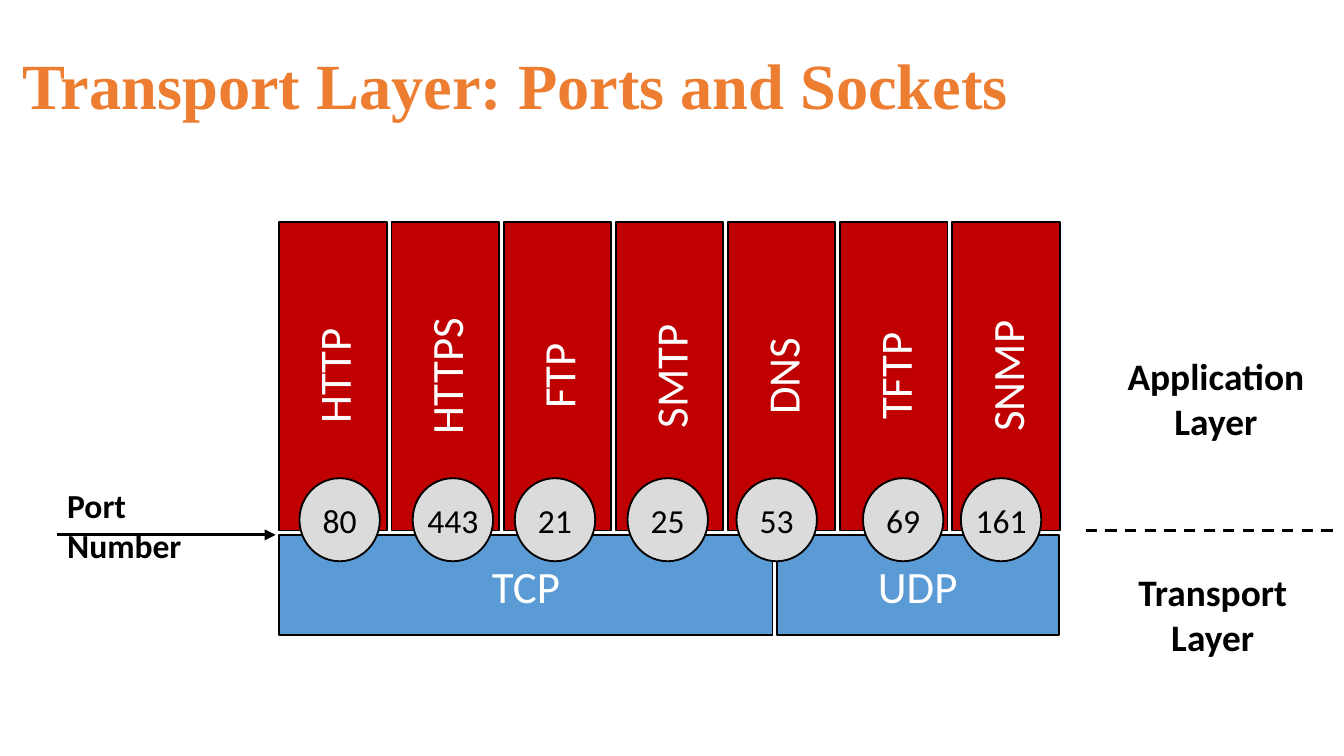
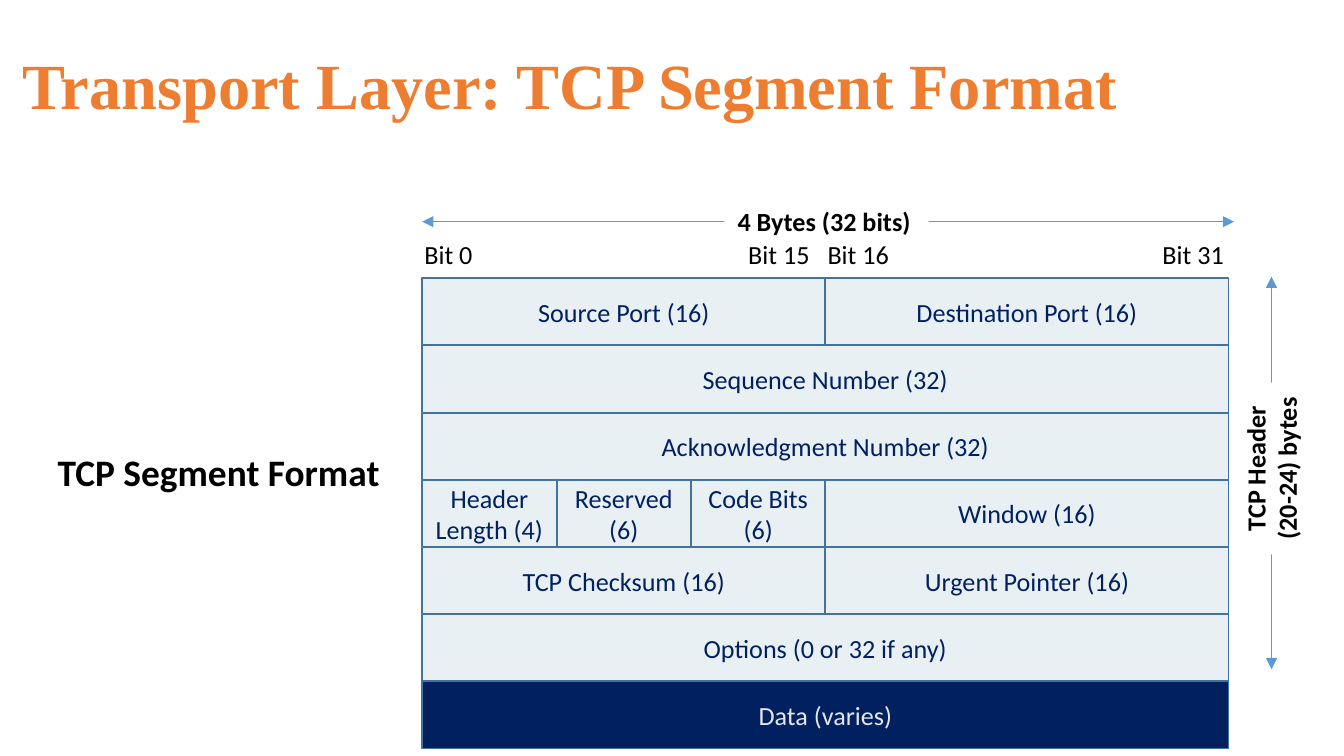
from lxml import etree
from pptx import Presentation
from pptx import util as u
from pptx.dml.color import RGBColor
from pptx.enum import dml, shapes, text
from pptx.oxml.ns import qn

# Shared colours and fonts
ORANGE = RGBColor(0xED, 0x7D, 0x31)
RED = RGBColor(0xC0, 0x00, 0x00)
BLUE = RGBColor(0x5B, 0x9B, 0xD5)
STEEL = RGBColor(0x43, 0x73, 0x9E)
NAVY = RGBColor(0x00, 0x20, 0x60)
PALE = RGBColor(0xE8, 0xF0, 0xF4)
SILVER = RGBColor(0xDB, 0xDB, 0xDB)
MIST = RGBColor(0xE7, 0xE6, 0xE6)
BLACK = RGBColor(0x00, 0x00, 0x00)
WHITE = RGBColor(0xFF, 0xFF, 0xFF)
BODY = "Calibri"
HEAD = "Times New Roman"

RECT = shapes.MSO_SHAPE.RECTANGLE
OVAL = shapes.MSO_SHAPE.OVAL
LEFT = text.PP_ALIGN.LEFT
MID = text.PP_ALIGN.CENTER

# Protocol, port number, left edge of the port circle (cm)
PORTS = [
    ("HTTP", "80", 5.66),
    ("HTTPS", "443", 7.8),
    ("FTP", "21", 9.73),
    ("SMTP", "25", 11.86),
    ("DNS", "53", 13.92),
    ("TFTP", "69", 16.31),
    ("SNMP", "161", 18.16),
]

# Segment rows: each field with its width in sixths of a row
ROWS = [
    [("Source Port (16)", 3), ("Destination Port (16)", 3)],
    [("Sequence Number (32)", 6)],
    [("Acknowledgment Number (32)", 6)],
    [("Header Length (4)", 1), ("Reserved (6)", 1), ("Code Bits (6)", 1),
     ("Window (16)", 3)],
    [("TCP Checksum (16)", 3), ("Urgent Pointer (16)", 3)],
    [("Options (0 or 32 if any)", 6)],
    [("Data (varies)", 6)],
]


def cm(*nums):
    return [u.Cm(n) for n in nums]


def write(frame, words, size, color, bold=False, align=LEFT, font=BODY):
    frame.text = words
    for para in frame.paragraphs:
        para.alignment = align
        para.font.name = font
        para.font.size = u.Pt(size)
        para.font.bold = bold
        para.font.color.rgb = color


def trim(frame):
    frame.margin_left = frame.margin_right = 0
    frame.margin_top = frame.margin_bottom = 0


def add_page(deck, title):
    page = deck.slides.add_slide(deck.slide_layouts[5])
    head = page.shapes.title
    head.left, head.top, head.width, head.height = cm(0.43, 0.79, 22.02, 1.57)
    frame = head.text_frame
    frame.auto_size = text.MSO_AUTO_SIZE.NONE
    frame.vertical_anchor = text.MSO_ANCHOR.MIDDLE
    trim(frame)
    write(frame, title, 34.5, ORANGE, True, font=HEAD)
    return page


def add_box(page, at, words, fill, edge, color, size, kind=RECT):
    box = page.shapes.add_shape(kind, *cm(*at))
    box.shadow.inherit = False
    box.fill.solid()
    box.fill.fore_color.rgb = fill
    box.line.color.rgb = edge
    box.line.width = u.Pt(1)
    frame = box.text_frame
    frame.word_wrap = True
    frame.vertical_anchor = text.MSO_ANCHOR.MIDDLE
    write(frame, words, size, color, align=MID)
    return box


def add_label(page, at, words, size, bold=True, align=LEFT, wrap=False,
              fill=WHITE):
    if fill is None:
        label = page.shapes.add_textbox(*cm(*at))
    else:
        label = page.shapes.add_shape(RECT, *cm(*at))
        label.shadow.inherit = False
        label.fill.solid()
        label.fill.fore_color.rgb = fill
        label.line.fill.background()
    frame = label.text_frame
    frame.word_wrap = wrap
    frame.auto_size = text.MSO_AUTO_SIZE.SHAPE_TO_FIT_TEXT
    frame.vertical_anchor = text.MSO_ANCHOR.TOP
    write(frame, words, size, BLACK, bold, align)
    return label


def add_line(page, ends, color, width, tips=(), dash=None):
    line = page.shapes.add_connector(shapes.MSO_CONNECTOR.STRAIGHT, *cm(*ends))
    line.line.color.rgb = color
    line.line.width = u.Pt(width)
    if dash:
        line.line.dash_style = dash
    props = line.element.spPr
    for tip in tips:
        etree.SubElement(props.find(qn("a:ln")), qn(tip), type="triangle")
    etree.SubElement(props, qn("a:effectLst"))


def draw_ports(deck):
    page = add_page(deck, "Transport Layer: Ports and Sockets")
    add_label(page, (1.02, 9.04, 3.86, 1.02), "Port Number", 18, wrap=True)

    # Transport protocols under the application protocols
    for words, left, width in (("TCP", 5.28, 9.32), ("UDP", 14.68, 5.33)):
        add_box(page, (left, 10.11, width, 1.9), words, BLUE, BLACK, WHITE, 24)
    for i, (name, port, left) in enumerate(PORTS):
        bar = add_box(page, (5.28 + 2.12 * i, 4.19, 2.03, 5.84), name,
                      RED, BLACK, WHITE, 24)
        bar.element.txBody.bodyPr.set("vert", "vert270")
    for name, port, left in PORTS:
        dot = add_box(page, (left, 9.04, 1.52, 1.57), port,
                      SILVER, BLACK, BLACK, 18, OVAL)
        trim(dot.text_frame)

    # Layer names, divider and port arrow
    add_label(page, (20.96, 6.55, 4.04, 1.96), "Application Layer", 20,
              align=MID, wrap=True)
    add_label(page, (21.08, 10.64, 3.68, 1.96), "Transport Layer", 20,
              align=MID, wrap=True)
    add_line(page, (20.52, 10.03, 25.2, 10.03), BLACK, 1.5,
             dash=dml.MSO_LINE.DASH)
    add_line(page, (1.07, 10.11, 5.21, 10.11), BLACK, 1.5, ["a:tailEnd"])


def draw_segment(deck):
    page = add_page(deck, "Transport Layer: TCP Segment Format")

    # Header fields, then the data row
    unit, high = 2.54, 1.27
    for i, row in enumerate(ROWS):
        left = 7.98
        last = i == len(ROWS) - 1
        fill, color = (NAVY, MIST) if last else (PALE, NAVY)
        for words, span in row:
            add_box(page, (left, 5.26 + high * i, unit * span, high), words,
                    fill, STEEL, color, 14)
            left += unit * span

    # Bit scale
    for bit, left, width in ((0, 7.77, 1.42), (15, 13.89, 1.73),
                             (16, 15.39, 1.73), (31, 21.72, 1.73)):
        add_label(page, (left, 4.39, width, 0.86), f"Bit {bit}", 14, False,
                  fill=None)

    # Size arrows with their labels
    both = ["a:headEnd", "a:tailEnd"]
    add_line(page, (7.98, 4.19, 23.32, 4.19), BLUE, 0.5, both)
    add_label(page, (13.69, 3.76, 3.86, 0.86), "4 Bytes (32 bits)", 14)
    add_line(page, (24.03, 12.65, 24.03, 5.23), BLUE, 0.5, both)
    side = add_label(page, (22.4, 8.13, 3.25, 1.45),
                     "TCP Header\n(20-24) bytes", 14, align=MID)
    side.rotation = 270
    add_label(page, (0.84, 8.36, 6.65, 1.12), "TCP Segment Format", 20)


def main():
    deck = Presentation()
    deck.slide_width, deck.slide_height = cm(25.4, 14.29)
    draw_ports(deck)
    draw_segment(deck)
    deck.save("out.pptx")


if __name__ == "__main__":
    main()
